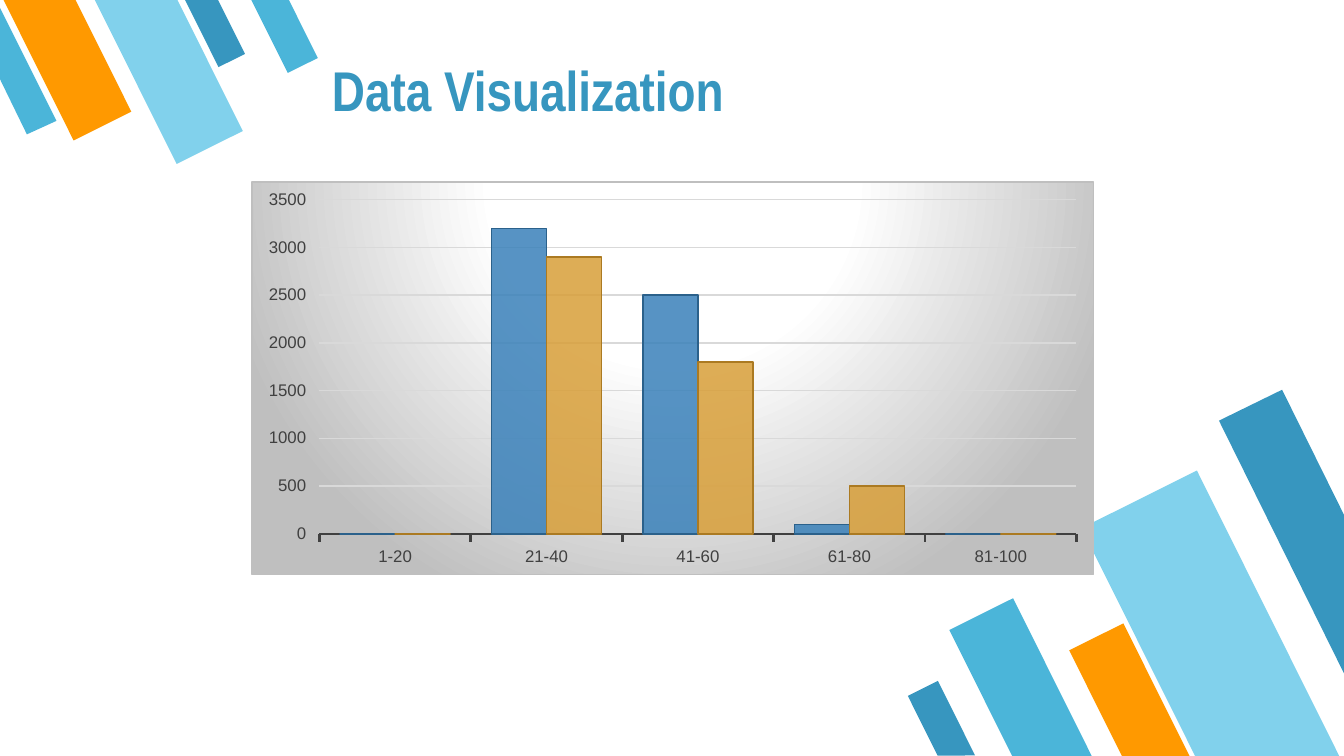
import lxml.etree
import pptx
import pptx.chart.data
import pptx.dml.color
import pptx.enum.chart
import pptx.enum.shapes
import pptx.enum.text
import pptx.oxml
import pptx.oxml.ns
import pptx.util

Inches = pptx.util.Inches
Pt = pptx.util.Pt
qn = pptx.oxml.ns.qn

SKY, PALE, ORANGE, BLUE = "4BB5D9", "81D1EC", "FF9900", "3796BF"
AXIS_TEXT, GRID, FRAME = "404040", "D9D9D9", "BFBFBF"

LOWER_STRIPES = [
    (7.33, 4.5, 0.53, 1.32, SKY),
    (8.53, 3.59, 0.96, 2.39, PALE),
    (8.18, 4.68, 0.45, 1.11, ORANGE),
    (6.88, 5.09, 0.25, 0.62, BLUE),
]
UPPER_STRIPES = [
    (1.49, -0.08, 0.22, 0.56, BLUE),
    (0.26, -0.18, 0.48, 1.18, ORANGE),
    (0.98, -0.2, 0.55, 1.37, PALE),
    (1.99, -0.1, 0.25, 0.62, SKY),
]
LOWER_EDGE = [(9.54, 2.9), (9.07, 3.13), (10, 5.01), (10, 3.83)]
UPPER_EDGE = [(0.2, 1), (0.42, 0.9), (0, 0.06), (0, 0.59)]

AGE_GROUPS = ["1-20", "21-40", "41-60", "61-80", "81-100"]
SERIES = [
    ("Series 1", [0, 3200, 2500, 100, 0], "3A81BA", "2B618B"),
    ("Series 2", [0, 2900, 1800, 500, 0], "D89F39", "AB7A22"),
]
GRADIENT_STOPS = [(0, "FFFFFF"), (39, "FFFFFF"), (100, FRAME)]


def color(value):
    """Turn a hex string into a colour."""
    return pptx.dml.color.RGBColor.from_string(value)


def assign(target, values):
    """Set attributes from a dict."""
    for name, value in values.items():
        setattr(target, name, value)


def set_line(line, value, width):
    """Give a line a colour and a width in points."""
    line.color.rgb = color(value)
    line.width = Pt(width)


class SlideBuilder:
    """Holds the style and the current slide."""

    def __init__(self, slide):
        """Keep the slide and its text styles."""
        self.slide = slide
        self.title_font = {"name": "Arial Narrow", "size": Pt(30), "bold": True}
        self.axis_font = {"name": "Arial", "size": Pt(9)}

    def paint(self, shape, fill):
        """Give a shape a plain fill without line or shadow."""
        shape.shadow.inherit = False
        shape.fill.solid()
        shape.fill.fore_color.rgb = color(fill)
        shape.line.fill.background()

    def stripe(self, left, top, width, height, fill, angle):
        """Add a tilted, mirrored stripe."""
        stripe = self.slide.shapes.add_shape(
            pptx.enum.shapes.MSO_SHAPE.FLOWCHART_MANUAL_INPUT,
            Inches(left), Inches(top), Inches(width), Inches(height))
        stripe.rotation = angle
        stripe._element.spPr.find(qn("a:xfrm")).set("flipH", "1")
        self.paint(stripe, fill)

    def outline(self, points, fill):
        """Add a closed polygon."""
        corners = [(Inches(x), Inches(y)) for x, y in points]
        builder = self.slide.shapes.build_freeform(*corners[0])
        builder.add_line_segments(corners[1:], close=True)
        self.paint(builder.convert_to_shape(), fill)

    def title(self, text, left, top, width, height):
        """Place and format the title."""
        title = self.slide.shapes.title
        assign(title, {"left": Inches(left), "top": Inches(top),
                       "width": Inches(width), "height": Inches(height)})
        frame = title.text_frame
        frame.text = text
        margins = ("margin_left", "margin_top", "margin_right", "margin_bottom")
        assign(frame, dict.fromkeys(margins, Inches(0.1)))
        assign(frame, {"word_wrap": True,
                       "auto_size": pptx.enum.text.MSO_AUTO_SIZE.NONE,
                       "vertical_anchor": pptx.enum.text.MSO_ANCHOR.BOTTOM})
        paragraph = frame.paragraphs[0]
        paragraph.alignment = pptx.enum.text.PP_ALIGN.LEFT
        font = paragraph.runs[0].font
        assign(font, self.title_font)
        font.color.rgb = color(BLUE)

    def column_chart(self, left, top, width, height):
        """Add the clustered columns by age group."""
        data = pptx.chart.data.CategoryChartData()
        data.categories = AGE_GROUPS
        for name, values, _, _ in SERIES:
            data.add_series(name, values)
        chart = self.slide.shapes.add_chart(
            pptx.enum.chart.XL_CHART_TYPE.COLUMN_CLUSTERED,
            Inches(left), Inches(top), Inches(width), Inches(height), data).chart
        assign(chart, {"has_legend": False, "has_title": False})
        assign(chart.font, {"name": "Arial", "size": Pt(10)})
        chart.font.color.rgb = color("000000")
        plot = chart.plots[0]
        assign(plot, {"gap_width": 75, "overlap": 0, "vary_by_categories": False})
        for series, (_, _, fill, border) in zip(plot.series, SERIES):
            self.columns(series, fill, border)
        self.axes(chart)
        self.chart_background(chart)

    def columns(self, series, fill, border):
        """Give one series a translucent fill and a thin border."""
        series.format.fill.solid()
        series.format.fill.fore_color.rgb = color(fill)
        shade = series._element.find(
            "/".join(map(qn, ("c:spPr", "a:solidFill", "a:srgbClr"))))
        lxml.etree.SubElement(shade, qn("a:alpha")).set("val", "85000")
        set_line(series.format.line, border, 0.75)

    def axes(self, chart):
        """Format both axes and the gridlines."""
        groups, counts = chart.category_axis, chart.value_axis
        for axis in (groups, counts):
            axis.major_tick_mark = pptx.enum.chart.XL_TICK_MARK.OUTSIDE
            assign(axis.tick_labels.font, self.axis_font)
            axis.tick_labels.font.color.rgb = color(AXIS_TEXT)
        set_line(groups.format.line, AXIS_TEXT, 1.5)
        counts.format.line.fill.background()
        assign(counts, {"minimum_scale": 0, "maximum_scale": 3500,
                        "major_unit": 500, "has_major_gridlines": True})
        set_line(counts.major_gridlines.format.line, GRID, 0.75)

    def chart_background(self, chart):
        """Put a round gradient and a thin frame behind the chart."""
        stops = "".join(
            f'<a:gs pos="{place * 1000}"><a:srgbClr val="{shade}"/></a:gs>'
            for place, shade in GRADIENT_STOPS)
        background = pptx.oxml.parse_xml(
            f'<c:spPr {pptx.oxml.ns.nsdecls("c", "a")}><a:gradFill>'
            f'<a:gsLst>{stops}</a:gsLst><a:path path="circle">'
            '<a:fillToRect l="50000" t="-80000" r="50000" b="180000"/></a:path>'
            f'</a:gradFill><a:ln w="{Pt(0.75)}"><a:solidFill>'
            f'<a:srgbClr val="{FRAME}"/></a:solidFill></a:ln></c:spPr>')
        chart._chartSpace.find(qn("c:chart")).addnext(background)


def main():
    """Build the slide and save it."""
    deck = pptx.Presentation()
    assign(deck, {"slide_width": Inches(10), "slide_height": Inches(10) * 9 // 16})
    page = SlideBuilder(deck.slides.add_slide(deck.slide_layouts[5]))
    for stripes, angle, edge, fill in (
            (LOWER_STRIPES, 153.5, LOWER_EDGE, BLUE),
            (UPPER_STRIPES, 333.5, UPPER_EDGE, SKY)):
        for stripe in stripes:
            page.stripe(*stripe, angle)
        page.outline(edge, fill)
    page.title("Data Visualization", 2.37, 0.27, 6.3, 0.74)
    page.column_chart(1.87, 1.35, 6.27, 2.93)
    deck.save("out.pptx")


main()
